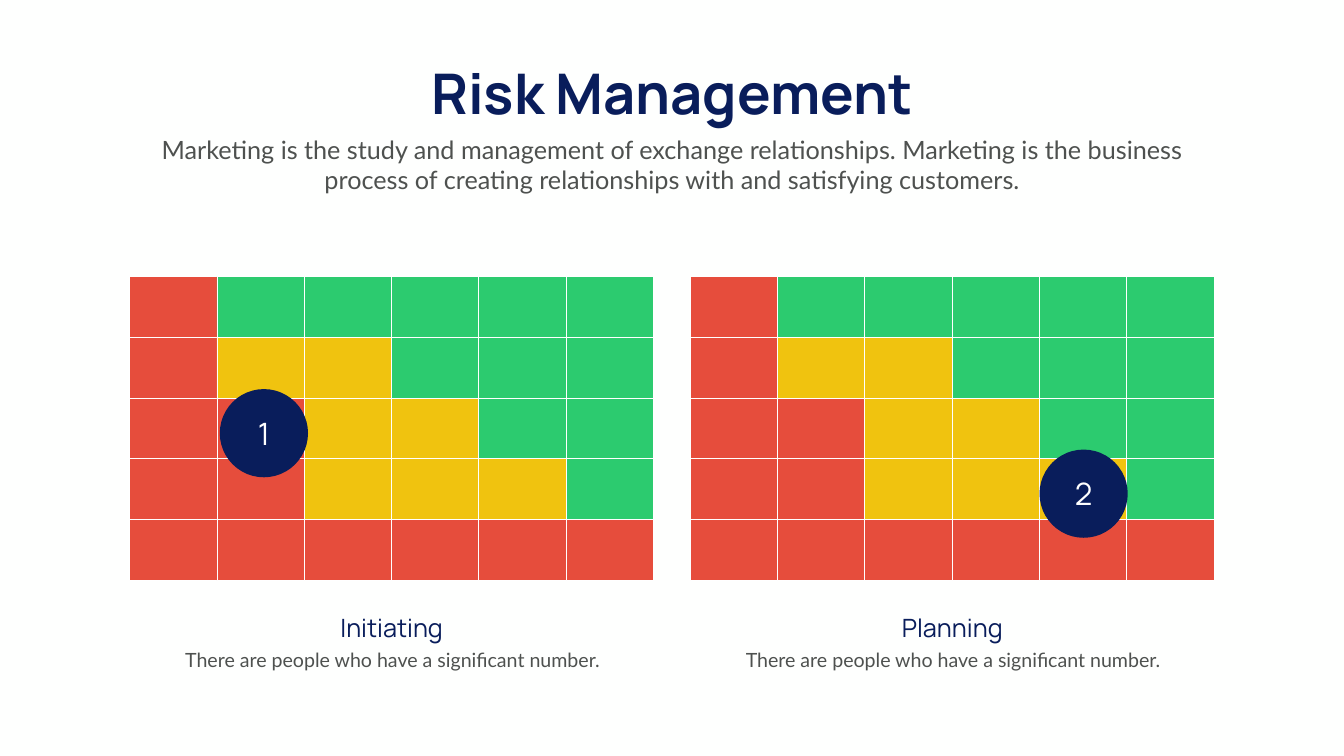
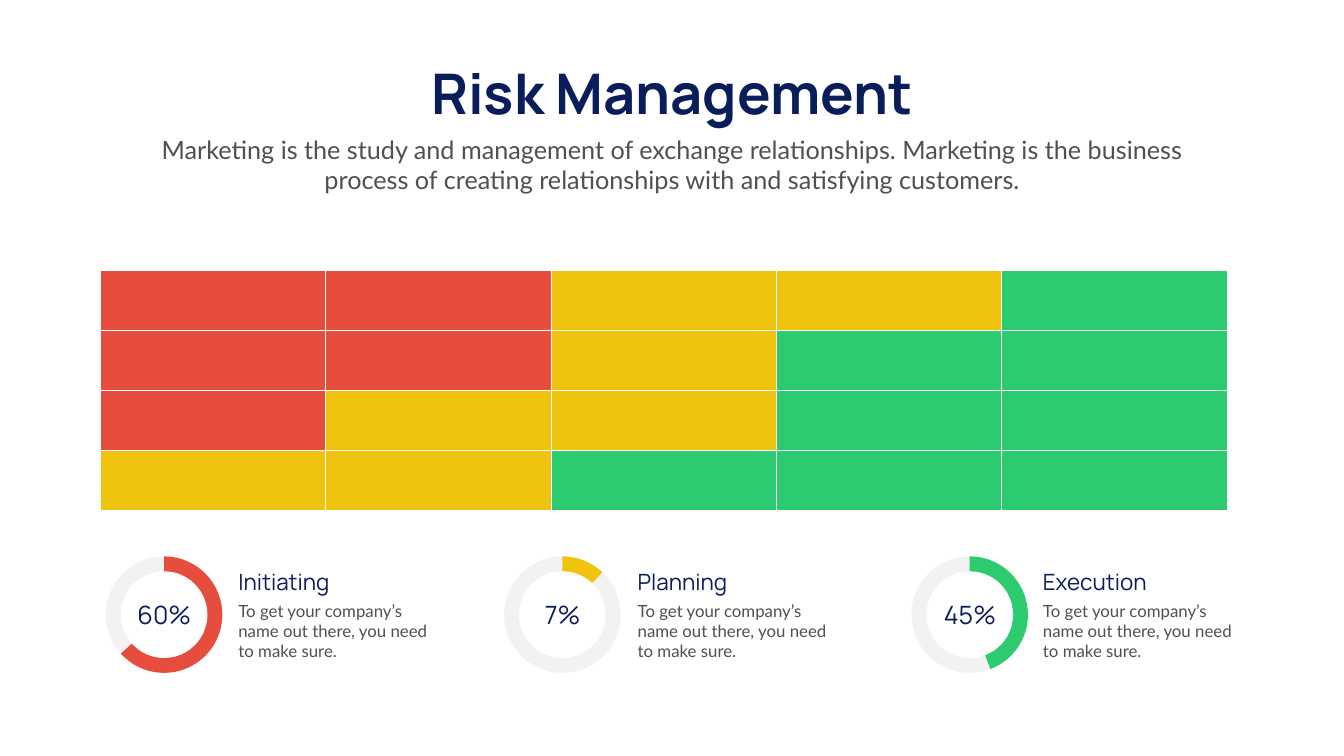
from pptx import Presentation
from pptx.dml.color import RGBColor
from pptx.enum.shapes import MSO_SHAPE as Shape
from pptx.enum.text import MSO_ANCHOR as Anchor, MSO_AUTO_SIZE as AutoSize, PP_ALIGN as Align
from pptx.util import Inches, Pt

# Colours and fonts
PAPER = RGBColor(0xFE, 0xFF, 0xFE)
WHITE = RGBColor(0xFF, 0xFF, 0xFF)
NAVY = RGBColor(0x09, 0x1D, 0x5B)
GREY = RGBColor(0x4E, 0x51, 0x4F)
RING = RGBColor(0xF2, 0xF2, 0xF2)
RED = RGBColor(0xE6, 0x4D, 0x3C)
YELLOW = RGBColor(0xF0, 0xC3, 0x0F)
GREEN = RGBColor(0x2C, 0xCB, 0x6F)
RISK_COLORS = {"R": RED, "Y": YELLOW, "G": GREEN}
HEADING_FONT, BODY_FONT = "Manrope", "Lato"

# Content shared by both slides
TITLE = "Risk Management"
INTRO = ("Marketing is the study and management of exchange relationships. "
         "Marketing is the business process of creating relationships with "
         "and satisfying customers.")

# Slide 1: two phase matrices, each with a numbered marker
PHASE_RISKS = ["RGGGGG", "RYYGGG", "RRYYGG", "RRYYYG", "RRRRRR"]
PHASE_NOTE = "There are people who have a significant number."
# name, matrix left, marker number, marker left, marker top
PHASES = [
    ("Initiating", 2.57, "1", 4.36, 7.72),
    ("Planning", 13.69, "2", 20.62, 8.92),
]

# Slide 2: one wide matrix and three progress rings
OVERALL_RISKS = ["RRYYG", "RRYGG", "RYYGG", "YYGGG"]
PROGRESS_NOTE = "To get your company’s name out there, you need to make sure."
# name, share, colour, end angle of the arc, ring left, text left
PROGRESS = [
    ("Initiating", "60%", RED, 138, 2.1, 4.63),
    ("Planning", "7%", YELLOW, 313.37, 10, 12.55),
    ("Execution", "45%", GREEN, 69.2, 18.08, 20.59),
]
RING_TOP, RING_SIZE, HOLE_SIZE = 11.04, 2.31, 1.72
ARC_START = 270
ADJUST_PER_DEGREE = 0.6


def write(frame, text, size, font, color, align, bold=False):
    paragraph = frame.paragraphs[0]
    paragraph.alignment = align
    run = paragraph.add_run()
    run.text = text
    run.font.size = Pt(size)
    run.font.name = font
    run.font.bold = bold
    run.font.color.rgb = color


def add_text(slide, box, text, size, font, color, align=Align.CENTER, bold=False, wrap=True):
    frame = slide.shapes.add_textbox(*map(Inches, box)).text_frame
    frame.word_wrap = wrap
    frame.auto_size = AutoSize.SHAPE_TO_FIT_TEXT
    write(frame, text, size, font, color, align, bold)


def add_filled(slide, kind, box, fill, outline=None):
    shape = slide.shapes.add_shape(kind, *map(Inches, box))
    shape.shadow.inherit = False
    shape.fill.solid()
    shape.fill.fore_color.rgb = fill
    if outline is None:
        shape.line.fill.background()
    else:
        shape.line.color.rgb = outline
        shape.line.width = Pt(1)
    return shape


def add_matrix(slide, risks, left, top, cell_width, cell_height):
    for row, levels in enumerate(risks):
        for column, level in enumerate(levels):
            box = (left + column * cell_width, top + row * cell_height, cell_width, cell_height)
            add_filled(slide, Shape.RECTANGLE, box, RISK_COLORS[level], WHITE)


def add_titled_slide(deck):
    slide = deck.slides.add_slide(deck.slide_layouts[6])
    slide.background.fill.solid()
    slide.background.fill.fore_color.rgb = PAPER
    add_text(slide, (7.99, 1.12, 10.68, 1.45), TITLE, 80, HEADING_FONT, NAVY,
             bold=True, wrap=False)
    add_text(slide, (2.92, 2.61, 20.82, 1.31), INTRO, 36, BODY_FONT, GREY)
    return slide


def add_phase(slide, name, left, number, marker_left, marker_top):
    add_matrix(slide, PHASE_RISKS, left, 5.49, 1.732, 1.204)
    marker = add_filled(slide, Shape.OVAL, (marker_left, marker_top, 1.75, 1.75), NAVY)
    marker.text_frame.vertical_anchor = Anchor.MIDDLE
    write(marker.text_frame, number, 44, HEADING_FONT, WHITE, Align.CENTER)
    # Caption under the matrix
    add_text(slide, (left + 3.55, 12.09, 3.3, 0.71), name, 36, HEADING_FONT, NAVY)
    add_text(slide, (left + 0.5, 12.8, 9.43, 0.57), PHASE_NOTE, 28, BODY_FONT, GREY)


def add_progress(slide, name, share, color, arc_end, left, text_left):
    # Ring: grey disc, coloured arc, white hole
    disc = (left, RING_TOP, RING_SIZE, RING_SIZE)
    add_filled(slide, Shape.OVAL, disc, RING)
    arc = add_filled(slide, Shape.PIE, disc, color)
    arc.adjustments[0] = ARC_START * ADJUST_PER_DEGREE
    arc.adjustments[1] = arc_end * ADJUST_PER_DEGREE
    rim = (RING_SIZE - HOLE_SIZE) / 2
    add_filled(slide, Shape.OVAL, (left + rim, RING_TOP + rim, HOLE_SIZE, HOLE_SIZE), WHITE)
    # Share inside the ring, name and note beside it
    add_text(slide, (left + 0.39, 11.84, 1.54, 0.71), share, 36, HEADING_FONT, NAVY)
    add_text(slide, (text_left, 11.22, 4.18, 0.64), name, 32, HEADING_FONT, NAVY, Align.LEFT)
    add_text(slide, (text_left, 11.86, 4.18, 1.31), PROGRESS_NOTE, 24, BODY_FONT, GREY, Align.LEFT)


def main():
    deck = Presentation()
    deck.slide_width, deck.slide_height = Inches(26.66), Inches(15)

    phases_slide = add_titled_slide(deck)
    for phase in PHASES:
        add_phase(phases_slide, *phase)

    progress_slide = add_titled_slide(deck)
    add_matrix(progress_slide, OVERALL_RISKS, 1.99, 5.37, 4.47, 1.19)
    for progress in PROGRESS:
        add_progress(progress_slide, *progress)

    deck.save("out.pptx")


if __name__ == "__main__":
    main()
